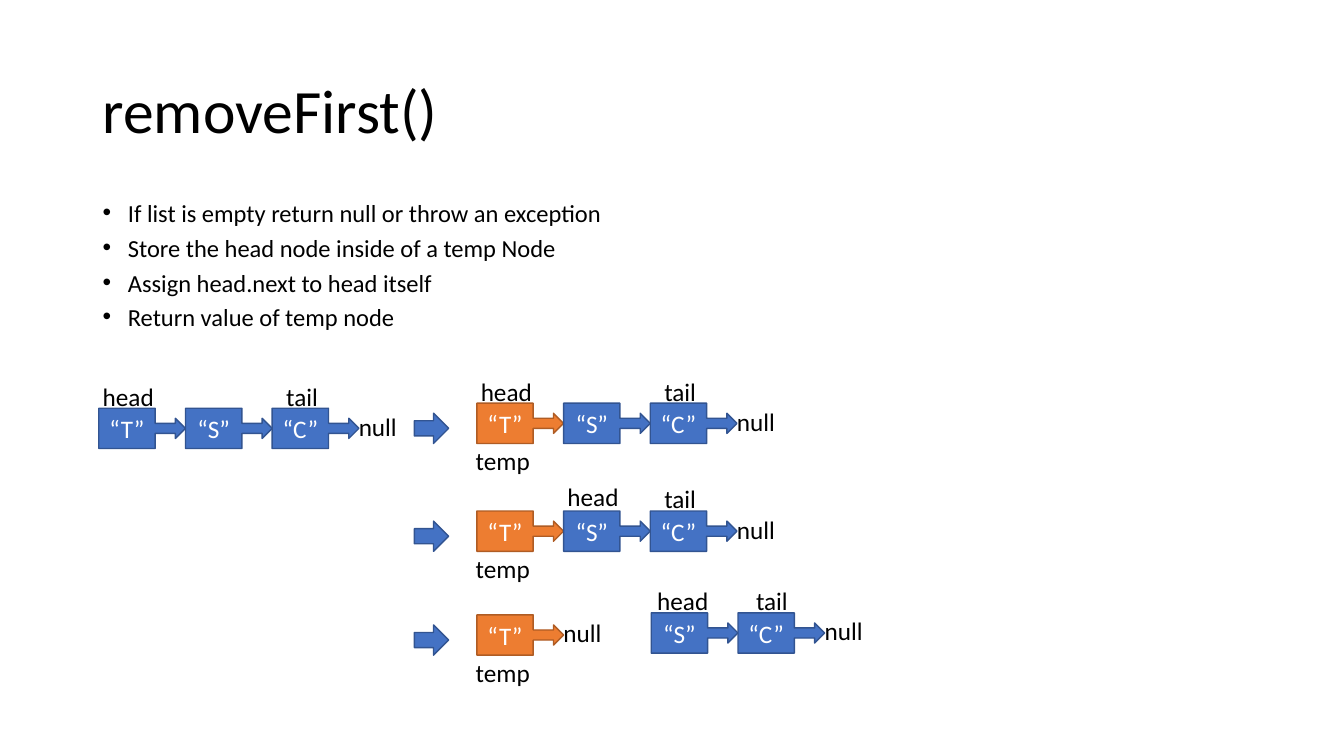
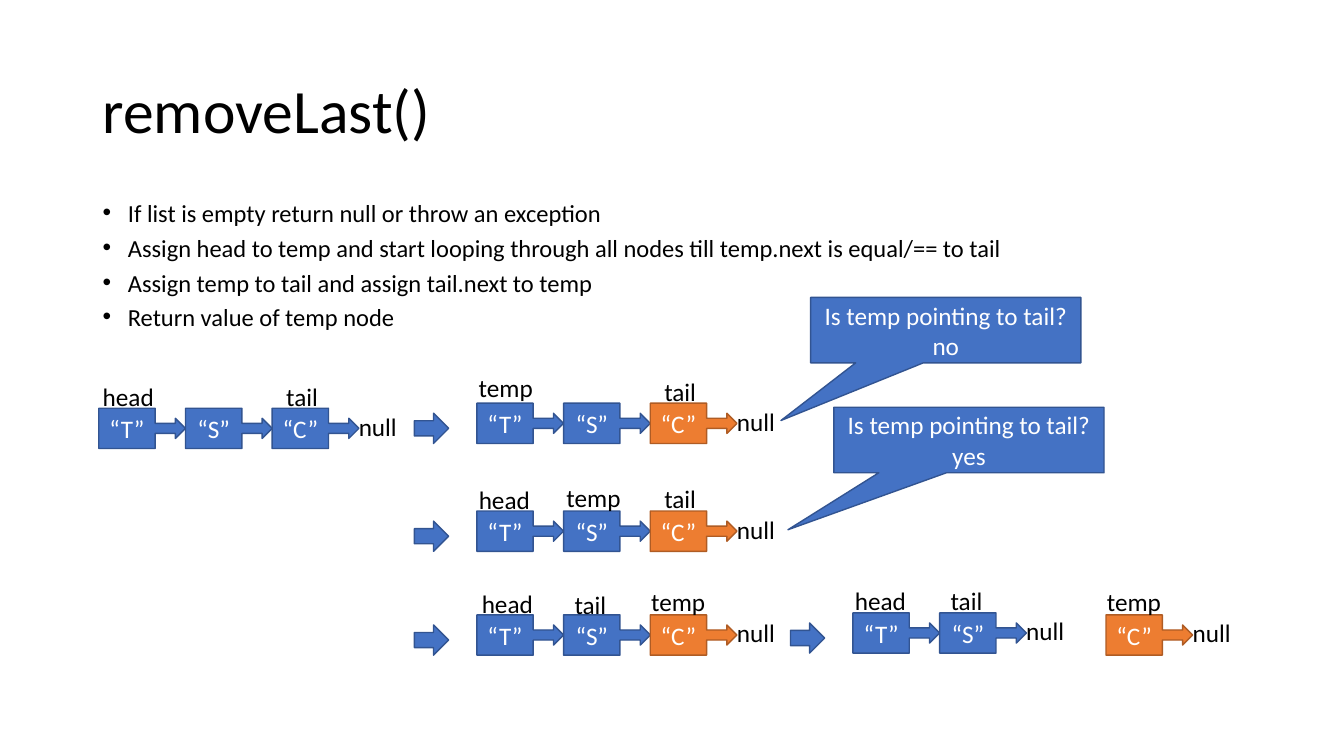
from dataclasses import dataclass

from lxml.etree import SubElement
from pptx import Presentation
from pptx.dml.color import RGBColor
from pptx.enum.shapes import MSO_SHAPE
from pptx.enum.text import MSO_ANCHOR, MSO_AUTO_SIZE, PP_ALIGN
from pptx.oxml.ns import qn
from pptx.util import Inches, Pt


@dataclass(frozen=True)
class Theme:
    font: str = "Calibri"
    text: str = "000000"
    on_fill: str = "FFFFFF"
    normal: tuple = ("4472C4", "325491")  # fill, outline
    marked: tuple = ("ED7D31", "AF5C24")
    title_size: float = 44
    bullet_size: float = 17.5
    diagram_size: float = 18


THEME = Theme()
NODE_WIDTH, NODE_HEIGHT = 0.86, 0.4
FIRST_LEFT, STEP_LEFT, ARROW_LEFT = 0.98, 4.73, 4.11
FIRST_TOP = 4.05
STEP_TOPS = (4, 5.07, 6.1)
ARROW_TOPS = (4.1, 5.17, 6.2)
SPLIT_TOP = 6.08

# Pointer name: (offset from node left, offset from node top, width)
POINTERS = {
    "head": (-0.06, -0.32, 0.71),
    "tail": (0.04, -0.32, 0.52),
    "temp": (-0.09, -0.33, 0.86),
}
TEMP_BELOW = ("temp", 0, -0.02, 0.7)  # name, node, shift right, shift down
HEAD_AND_TAIL = (("head", 0), ("tail", 2))


# Text
def add_run(para, text, size, color):
    span = para.add_run()
    span.text = text
    span.font.name = THEME.font
    span.font.size = Pt(size)
    span.font.color.rgb = RGBColor.from_string(color)


def add_text_box(page, left, top, width, height):
    box = page.shapes.add_textbox(Inches(left), Inches(top), Inches(width), Inches(height))
    box.text_frame.word_wrap = True
    return box.text_frame


def add_title(page, text):
    frame = add_text_box(page, 0.92, 0.4, 11.5, 1.45)
    frame.vertical_anchor = MSO_ANCHOR.MIDDLE
    para = frame.paragraphs[0]
    para.line_spacing = 0.9
    add_run(para, text, THEME.title_size, THEME.text)


def add_bullets(page, lines):
    frame = add_text_box(page, 0.92, 2, 11.5, 1.45)
    for index, line in enumerate(lines):
        para = frame.add_paragraph() if index else frame.paragraphs[0]
        para.line_spacing = 0.7
        para.space_before = Pt(10)
        properties = para._p.get_or_add_pPr()
        properties.set("marL", str(Inches(0.25)))
        properties.set("indent", str(-Inches(0.25)))
        SubElement(properties, qn("a:buFont")).set("typeface", "Arial")
        SubElement(properties, qn("a:buChar")).set("char", "•")
        add_run(para, line, THEME.bullet_size, THEME.text)


def add_label(page, text, left, top, width, wrap=True):
    frame = add_text_box(page, left, top, width, 0.4)
    frame.word_wrap = wrap
    frame.auto_size = MSO_AUTO_SIZE.SHAPE_TO_FIT_TEXT
    add_run(frame.paragraphs[0], text, THEME.diagram_size, THEME.text)


# Shapes
def add_block(page, kind, left, top, width, height, text="", colors=THEME.normal):
    block = page.shapes.add_shape(kind, Inches(left), Inches(top), Inches(width), Inches(height))
    block.shadow.inherit = False
    fill, outline = colors
    block.fill.solid()
    block.fill.fore_color.rgb = RGBColor.from_string(fill)
    block.line.color.rgb = RGBColor.from_string(outline)
    block.line.width = Pt(1)
    if text:
        block.text_frame.vertical_anchor = MSO_ANCHOR.MIDDLE
        para = block.text_frame.paragraphs[0]
        para.alignment = PP_ALIGN.CENTER
        add_run(para, text, THEME.diagram_size, THEME.on_fill)
    return block


def add_step_arrow(page, left, top):
    add_block(page, MSO_SHAPE.RIGHT_ARROW, left, top, 0.34, 0.3)


def add_question(page, left, top, answer, tip):
    bubble = add_block(page, MSO_SHAPE.RECTANGULAR_CALLOUT, left, top, 2.68, 0.65,
                       f"Is temp pointing to tail? {answer}")
    bubble.adjustments[0], bubble.adjustments[1] = tip


def add_linked_list(page, left, top, letters, pointers, marked=""):
    """Draw nodes in a row, the closing null and the named pointers."""
    for index, letter in enumerate(letters):
        add_block(page, MSO_SHAPE.RIGHT_ARROW_CALLOUT, left + index * NODE_WIDTH, top,
                  NODE_WIDTH, NODE_HEIGHT, f"“{letter}”",
                  THEME.marked if letter == marked else THEME.normal)
    add_label(page, "null", left + len(letters) * NODE_WIDTH - 0.1, top - 0.02, 0.58, wrap=False)
    for name, node, *shift in pointers:
        right, down = shift or (0, 0)
        offset_left, offset_top, width = POINTERS[name]
        add_label(page, name, left + node * NODE_WIDTH + offset_left + right,
                  top + offset_top + down, width)


# Slides
def add_page(deck, title, bullets):
    """Start a slide with the list before removal and the step arrows."""
    page = deck.slides.add_slide(deck.slide_layouts[6])
    add_title(page, title)
    add_bullets(page, bullets)
    add_linked_list(page, FIRST_LEFT, FIRST_TOP, "TSC", HEAD_AND_TAIL)
    for top in ARROW_TOPS:
        add_step_arrow(page, ARROW_LEFT, top)
    return page


def add_remove_first(deck):
    page = add_page(deck, "removeFirst()", (
        "If list is empty return null or throw an exception",
        "Store the head node inside of a temp Node",
        "Assign head.next to head itself",
        "Return value of temp node",
    ))
    steps = (
        ("TSC", (*HEAD_AND_TAIL, TEMP_BELOW)),
        ("TSC", (("head", 1, 0, -0.02), ("tail", 2), TEMP_BELOW)),
        ("T", (TEMP_BELOW,)),
    )
    for top, (letters, pointers) in zip(STEP_TOPS, steps):
        add_linked_list(page, STEP_LEFT, top, letters, pointers, marked="T")
    add_linked_list(page, 6.46, SPLIT_TOP, "SC", (("head", 0, 0.02, 0), ("tail", 1, 0.04, 0)))


def add_remove_last(deck):
    page = add_page(deck, "removeLast()", (
        "If list is empty return null or throw an exception",
        "Assign head to temp and start looping through all nodes till temp.next is equal/== to tail",
        "Assign temp to tail and assign tail.next to temp",
        "Return value of temp node",
    ))
    steps = (
        (("temp", 0, 0.01, -0.03), ("tail", 2)),
        (("head", 0, -0.02, 0.01), ("temp", 1, 0.02, 0), ("tail", 2)),
        (("head", 0, 0.01, 0.01), ("tail", 1, -0.03, 0.02), ("temp", 2)),
    )
    for top, pointers in zip(STEP_TOPS, steps):
        add_linked_list(page, STEP_LEFT, top, "TSC", pointers, marked="C")
    add_question(page, 8.04, 2.95, "no", (-0.61, 1.38))
    add_question(page, 8.27, 4.04, "yes", (-0.67, 1.37))
    add_step_arrow(page, 7.84, 6.18)
    add_linked_list(page, 8.46, SPLIT_TOP, "TS",
                    (("head", 0, -0.02, 0), ("tail", 1, -0.03, 0)))
    add_linked_list(page, 10.97, STEP_TOPS[2], "C", (("temp", 0),), marked="C")


def main():
    deck = Presentation()
    deck.slide_width, deck.slide_height = Inches(13.33), Inches(7.5)
    add_remove_first(deck)
    add_remove_last(deck)
    deck.save("out.pptx")


main()
